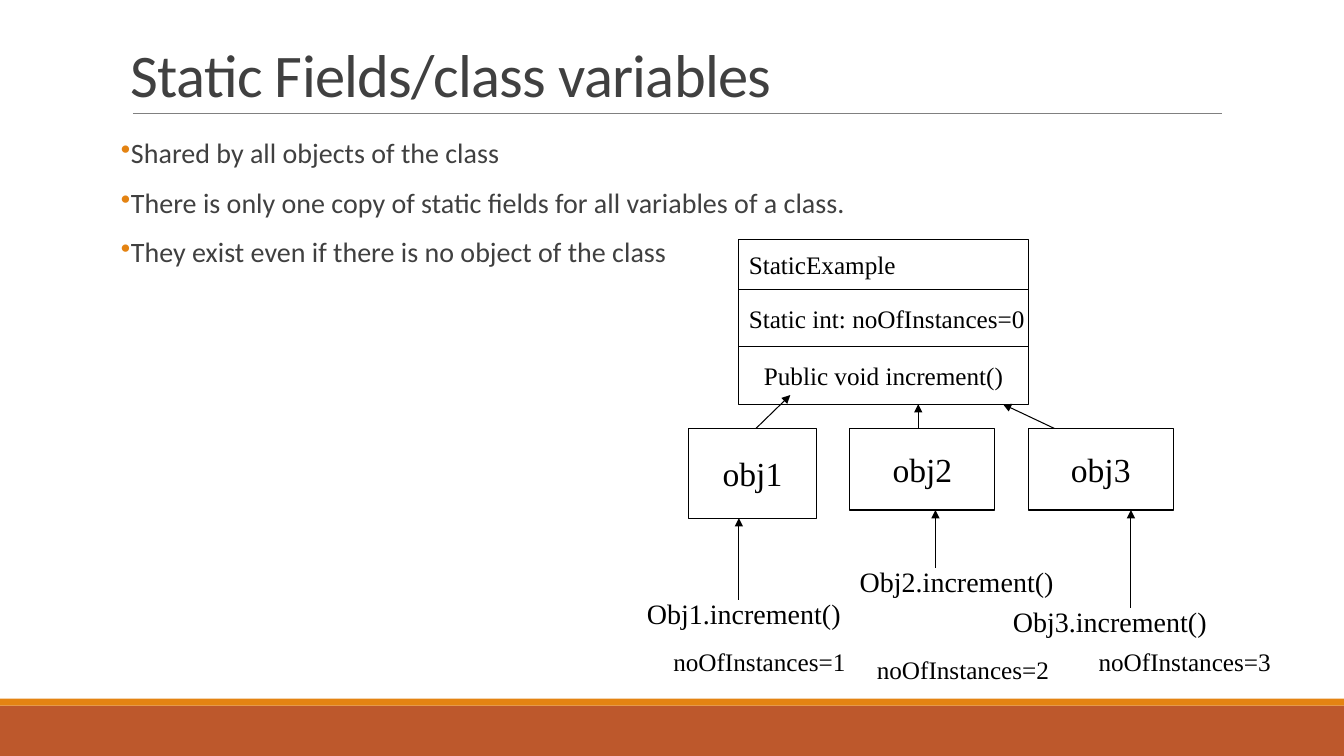
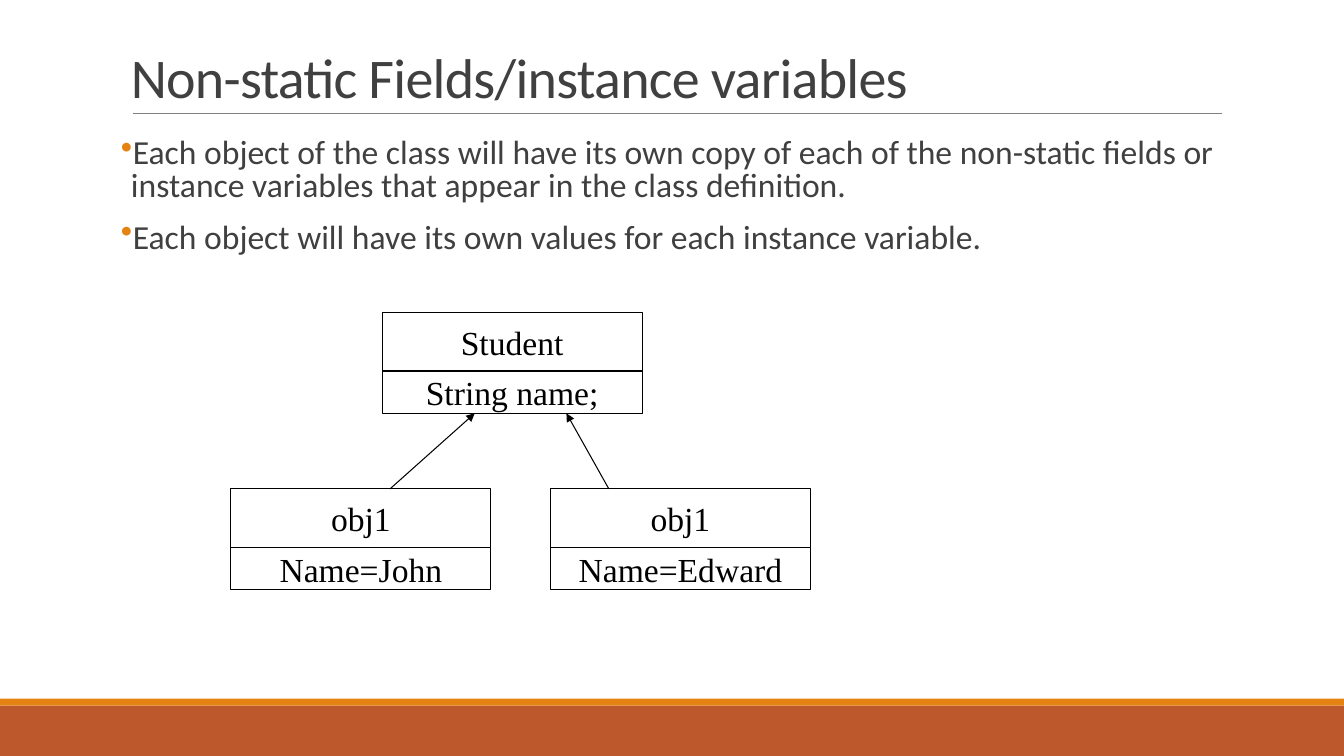
from lxml.etree import SubElement
from pptx import Presentation
from pptx.dml.color import RGBColor
from pptx.enum.shapes import MSO_CONNECTOR, MSO_SHAPE
from pptx.enum.text import MSO_ANCHOR, PP_ALIGN
from pptx.oxml.ns import qn
from pptx.util import Pt

HUES = {"band": "BD582C", "stripe": "E48312", "rule": "808080",
        "text": "404040", "ink": "000000"}
SANS, SERIF = "Calibri", "Times New Roman"
LEFT, CENTER = PP_ALIGN.LEFT, PP_ALIGN.CENTER
WIDE, HIGH = 960, 540


def hue(name):
    """Return the named colour."""
    return RGBColor.from_string(HUES[name])


def style(para, size, face, color):
    """Set the font of a paragraph."""
    font = para.font
    font.size, font.name = Pt(size), face
    font.color.rgb = hue(color)


def rect(slide, x, y, w, h, fill=None):
    """Add a filled rectangle, or an outlined one if no fill is named."""
    shape = slide.shapes.add_shape(MSO_SHAPE.RECTANGLE, Pt(x), Pt(y), Pt(w), Pt(h))
    shape.shadow.inherit = False
    if fill:
        shape.fill.solid()
        shape.fill.fore_color.rgb = hue(fill)
        shape.line.fill.background()
    else:
        shape.fill.background()
        shape.line.color.rgb = hue("ink")
        shape.line.width = Pt(0.75)
    return shape


def line(slide, start, end, color="ink", width=0.75, arrow=True):
    """Draw a straight line, with a head at its end if arrow is set."""
    (ax, ay), (bx, by) = start, end
    link = slide.shapes.add_connector(
        MSO_CONNECTOR.STRAIGHT, Pt(ax), Pt(ay), Pt(bx), Pt(by))
    link.line.color.rgb = hue(color)
    link.line.width = Pt(width)
    if arrow:
        SubElement(link.line._get_or_add_ln(), qn("a:tailEnd"), type="triangle")
    SubElement(link._element.spPr, qn("a:effectLst"))


def frame(slide, x, y, w, h):
    """Add a wrapping text box and return its text frame."""
    text = slide.shapes.add_textbox(Pt(x), Pt(y), Pt(w), Pt(h)).text_frame
    text.word_wrap = True
    return text


def label(slide, x, y, w, h, words, size):
    """Add a line of free text to a diagram."""
    para = frame(slide, x, y, w, h).paragraphs[0]
    para.text = words
    style(para, size, SERIF, "ink")


def cell(slide, x, y, w, h, words, size=24, align=CENTER):
    """Add an outlined box with one line of text."""
    text = rect(slide, x, y, w, h).text_frame
    text.word_wrap = False
    text.vertical_anchor = MSO_ANCHOR.MIDDLE
    para = text.paragraphs[0]
    para.text, para.alignment = words, align
    style(para, size, SERIF, "ink")


def stack(slide, x, y, w, rows):
    """Stack cells downward; each row is its height and cell settings."""
    for h, *rest in rows:
        cell(slide, x, y, w, h, *rest)
        y += h


def title(slide, x, y, w, h, words, size):
    """Add the slide title, resting on the rule."""
    text = frame(slide, x, y, w, h)
    text.vertical_anchor = MSO_ANCHOR.BOTTOM
    para = text.paragraphs[0]
    para.text, para.line_spacing = words, 0.85
    style(para, size, SANS, "text")
    para._p.pPr.find(qn("a:defRPr")).set("spc", "-50")


def body(slide, x, y, w, h, items, size, gap):
    """Add the bulleted text; gap is the line spacing."""
    text = frame(slide, x, y, w, h)
    text.margin_left = text.margin_right = 0
    for i, words in enumerate(items):
        para = text.add_paragraph() if i else text.paragraphs[0]
        para.text, para.line_spacing = words, gap
        para.space_before, para.space_after = Pt(12), Pt(2)
        props = para._p.get_or_add_pPr()
        props.set("marL", str(Pt(7.2)))
        props.set("indent", str(-Pt(7.2)))
        tint = SubElement(props, qn("a:buClr"))
        SubElement(tint, qn("a:srgbClr"), val=HUES["stripe"])
        SubElement(props, qn("a:buChar"), char="•")
        style(para, size, SANS, "text")


def page(deck, head, head_size, items, size, gap):
    """Add a slide with bands, rule, title and bullets."""
    slide = deck.slides.add_slide(deck.slide_layouts[6])
    rect(slide, 0, HIGH - 36, WIDE, 36, "band")
    rect(slide, 0, HIGH - 41, WIDE, 5, "stripe")
    line(slide, (95, 80.7), (872.6, 80.7), "rule", 0.5, arrow=False)
    title(slide, 86.4, 28, 792, 54, head, head_size)
    body(slide, 86.4, 95.8, 792, 366.5, items, size, gap)
    return slide


def static(slide, x, y):
    """Draw the class, its three objects and their calls."""
    stack(slide, x + 72.8, y, 206.6, [
        (35.3, "StaticExample", 18, LEFT),
        (41, "Static int: noOfInstances=0", 18, LEFT),
        (41, "Public void increment()", 18)])
    top = y + 134.6
    # object box x, w, h; link start x, tip x, y; call x, y; arrow x; count x, y
    objs = [
        ((36.8, 91.4, 64.1), (85, 109.5, 110.8), (0, 251.2), 72.8, (18.8, 286.5)),
        ((152, 103.7, 58.3), (200.9, 200.9, 117.3), (152, 228.2), 213.2, (164.2, 292.3)),
        ((279.4, 103.7, 58.3), (298.1, 261.4, 117.3), (261.4, 257), 352.8, (322.6, 286.5))]
    for n, (box, link, call, stem, count) in enumerate(objs, 1):
        left, w, h = box
        foot, tip, peak = link
        cell(slide, x + left, top, w, h, f"obj{n}")
        line(slide, (x + foot, top), (x + tip, y + peak))
        label(slide, x + call[0], y + call[1], 164, 31, f"Obj{n}.increment()", 20)
        line(slide, (x + stem, y + call[1] + 5.8), (x + stem, top + h))
        label(slide, x + count[0], y + count[1], 146, 29, f"noOfInstances={n}", 18)


def student(slide, x, y):
    """Draw the Student class and two objects that point to it."""
    def record(left, top, head, field):
        """Draw a box with a name above a field."""
        stack(slide, x + left, y + top, 185.8, [(41.8, head), (30.2, field)])

    record(108, 0, "Student", "String name;")
    for left, name, foot, tip in [(0, "John", 113.7, 174.2),
                                  (228.2, "Edward", 270, 239.7)]:
        record(left, 126, "obj1", f"Name={name}")
        line(slide, (x + foot, y + 126), (x + tip, y + 72))


deck = Presentation()
deck.slide_width, deck.slide_height = Pt(WIDE), Pt(HIGH)

static(page(deck, "Static Fields/class variables", 43.2, [
    "Shared by all objects of the class",
    "There is only one copy of static fields for all variables of a class.",
    "They exist even if there is no object of the class"], 20, 0.9), 455, 171.4)

student(page(deck, "Non-static Fields/instance variables", 40, [
    "Each object of the class will have its own copy of each of the non-static "
    "fields or instance variables that appear in the class definition.",
    "Each object will have its own values for each instance variable."],
    24, 0.8), 164.9, 223.2)

deck.save("out.pptx")
